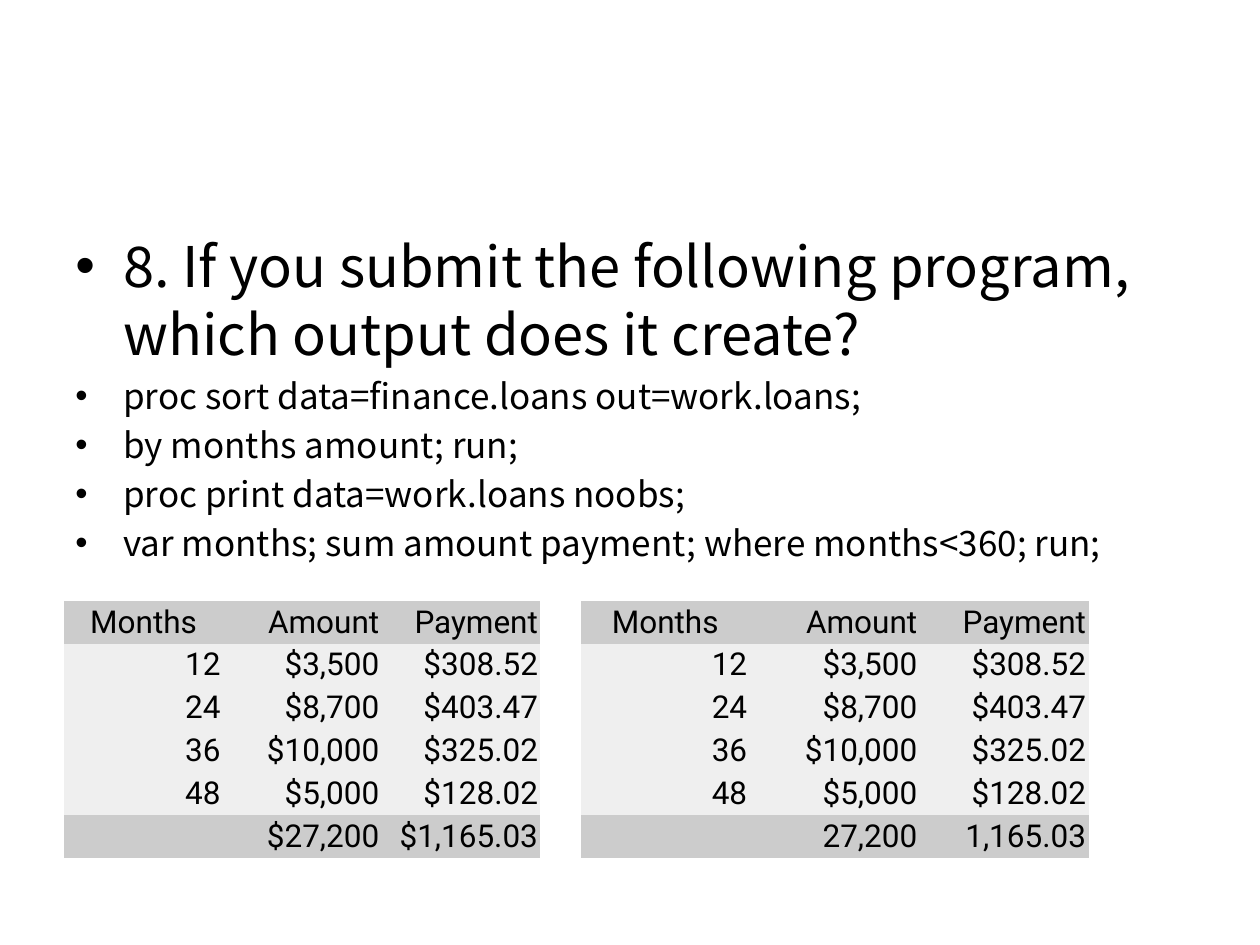
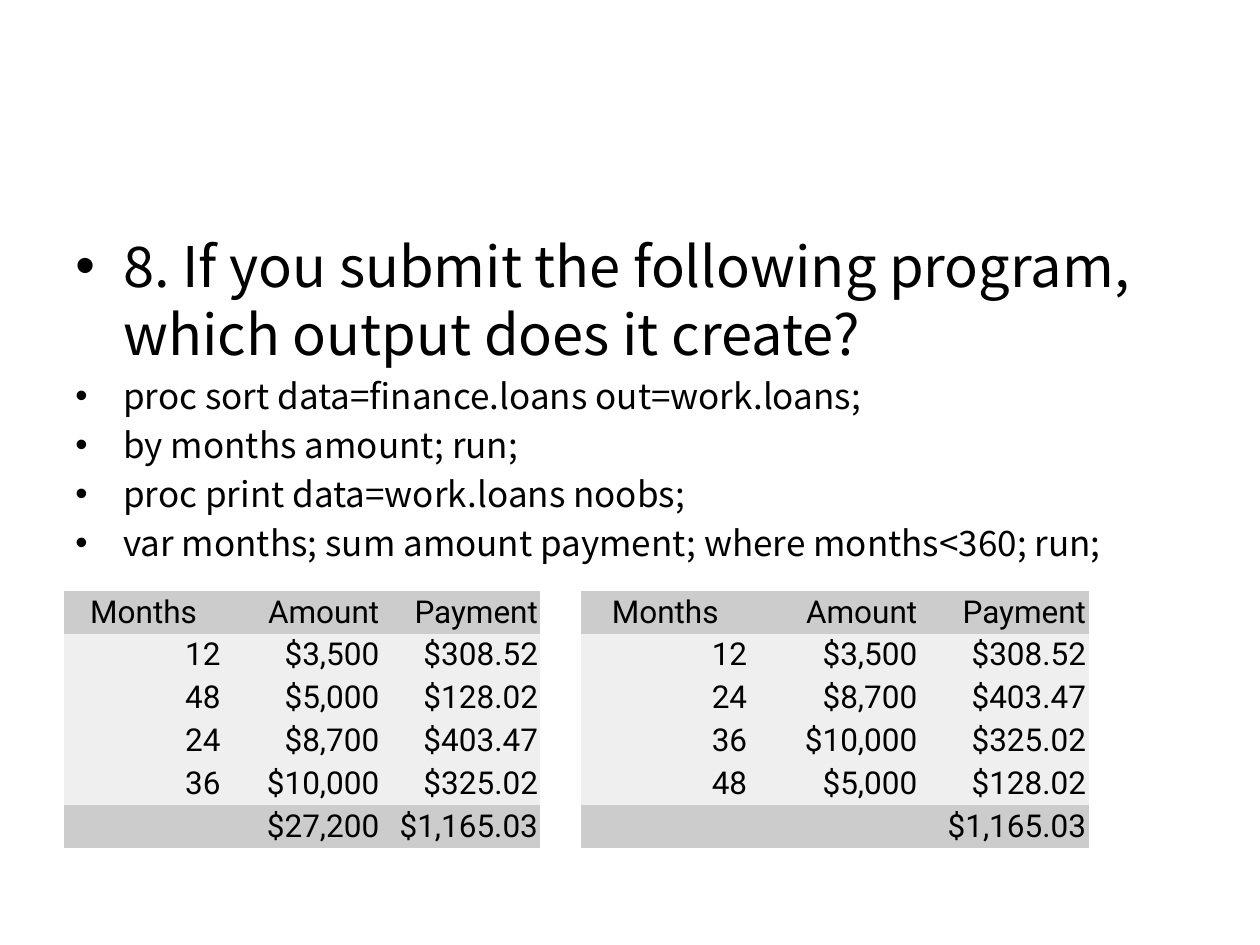
from dataclasses import dataclass
from lxml.etree import SubElement as Sub
from pptx import Presentation
from pptx.dml.color import RGBColor as Rgb
from pptx.enum.text import MSO_ANCHOR as Anchor, PP_ALIGN as Align
from pptx.oxml.ns import qn
from pptx.util import Inches, Pt


@dataclass(frozen=True)
class Theme:
    ink: Rgb = Rgb(0, 0, 0)
    band: Rgb = Rgb(0xCC, 0xCC, 0xCC)
    pale: Rgb = Rgb(0xEF, 0xEF, 0xEF)
    body: str = "Noto Sans CJK KR"
    grid: str = "Roboto"
    ask: int = 32
    code: int = 20
    cell: int = 18


THEME = Theme()
PLAIN = "{2D5ABB26-0587-4C30-8999-92F81FD0307C}"
ASK = "8. If you submit the following program, which output does it create?"
CODE = [
    "proc sort data=finance.loans out=work.loans;",
    "by months amount; run;",
    "proc print data=work.loans noobs;",
    "var months; sum amount payment; where months<360; run;",
]
HEAD = ("Months", "Amount", "Payment")
LOANS = [
    ("12", "$3,500", "$308.52"),
    ("24", "$8,700", "$403.47"),
    ("36", "$10,000", "$325.02"),
    ("48", "$5,000", "$128.02"),
]
MIXED = [LOANS[i] for i in (0, 3, 1, 2)]
TOTAL = ("", "$27,200", "$1,165.03")
BARE = ("", "27,200", "1,165.03")
PART = ("", "", "$1,165.03")
LEFT = (0.51, (1.26, 1.26, 1.26))
RIGHT = (4.61, (1.34, 1.35, 1.34))


def style(para, face, size):
    font = para.font
    font.name = face
    font.size = Pt(size)
    font.color.rgb = THEME.ink


def bullet(para, text, size, lead):
    para.text = text
    props = para._p.get_or_add_pPr()
    props.set("marL", str(Inches(0.38)))
    props.set("indent", str(Inches(-0.38)))
    Sub(props, qn("a:buFont")).set("typeface", "Arial")
    Sub(props, qn("a:buChar")).set("char", "•")
    para.line_spacing = Pt(lead)
    style(para, THEME.body, size)


def prompt(slide):
    box = slide.shapes.add_textbox(Inches(0.5), Inches(1.75), Inches(9), Inches(4.95))
    frame = box.text_frame
    frame.word_wrap = True
    frame.margin_top = Inches(0.08)
    bullet(frame.paragraphs[0], ASK, THEME.ask, 39)
    for line in CODE:
        para = frame.add_paragraph()
        bullet(para, line, THEME.code, 24)
        para.space_before = Pt(4)


def fill(cell, text, color, align):
    cell.fill.solid()
    cell.fill.fore_color.rgb = color
    cell.vertical_anchor = Anchor.MIDDLE
    cell.margin_left = cell.margin_right = Inches(0.02)
    cell.margin_top = cell.margin_bottom = Inches(0.02)
    para = cell.text_frame.paragraphs[0]
    para.text = text
    para.alignment = align
    style(para, THEME.grid, THEME.cell)


def report(slide, place, top, loans, total):
    left, widths = place
    rows = [HEAD, *loans, total]
    high = Inches(0.33)
    frame = slide.shapes.add_table(
        len(rows), len(widths), Inches(left), Inches(top),
        Inches(sum(widths)), high * len(rows))
    table = frame.table
    table.first_row = table.horz_banding = False
    next(frame.element.iter(qn("a:tableStyleId"))).text = PLAIN
    for col, width in zip(table.columns, widths):
        col.width = Inches(width)
    for r, row in enumerate(rows):
        table.rows[r].height = high
        color = THEME.band if r in (0, len(rows) - 1) else THEME.pale
        for c, text in enumerate(row):
            align = Align.CENTER if r == c == 0 else Align.RIGHT
            fill(table.cell(r, c), text, color, align)


def quiz(deck, top, first, second):
    slide = deck.slides.add_slide(deck.slide_layouts[6])
    prompt(slide)
    report(slide, LEFT, top, *first)
    report(slide, RIGHT, top, *second)


def main():
    deck = Presentation()
    deck.slide_width = Inches(10)
    deck.slide_height = Inches(7.5)
    quiz(deck, 4.77, (LOANS, TOTAL), (LOANS, BARE))
    quiz(deck, 4.69, (MIXED, TOTAL), (LOANS, PART))
    deck.save("out.pptx")


if __name__ == "__main__":
    main()
